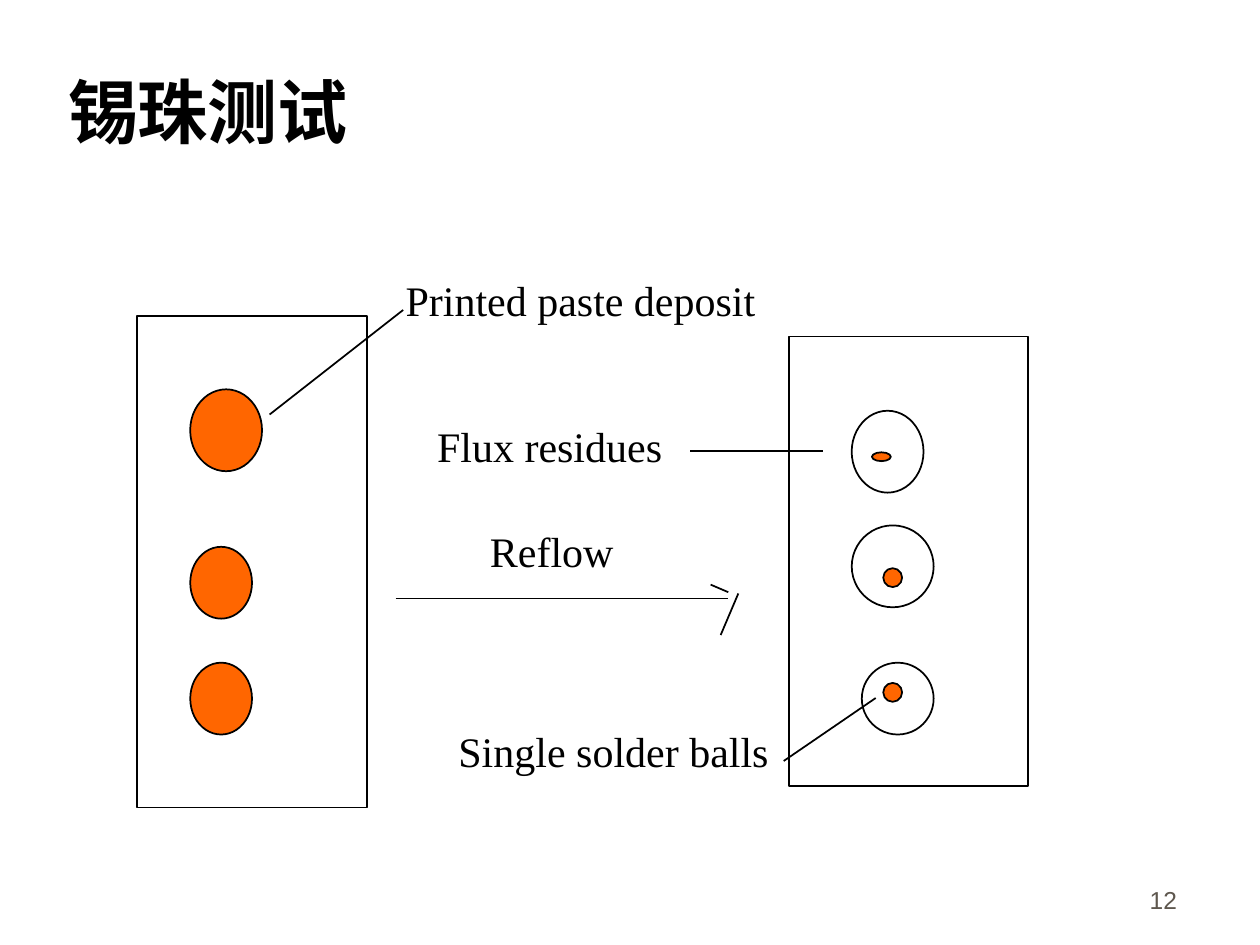
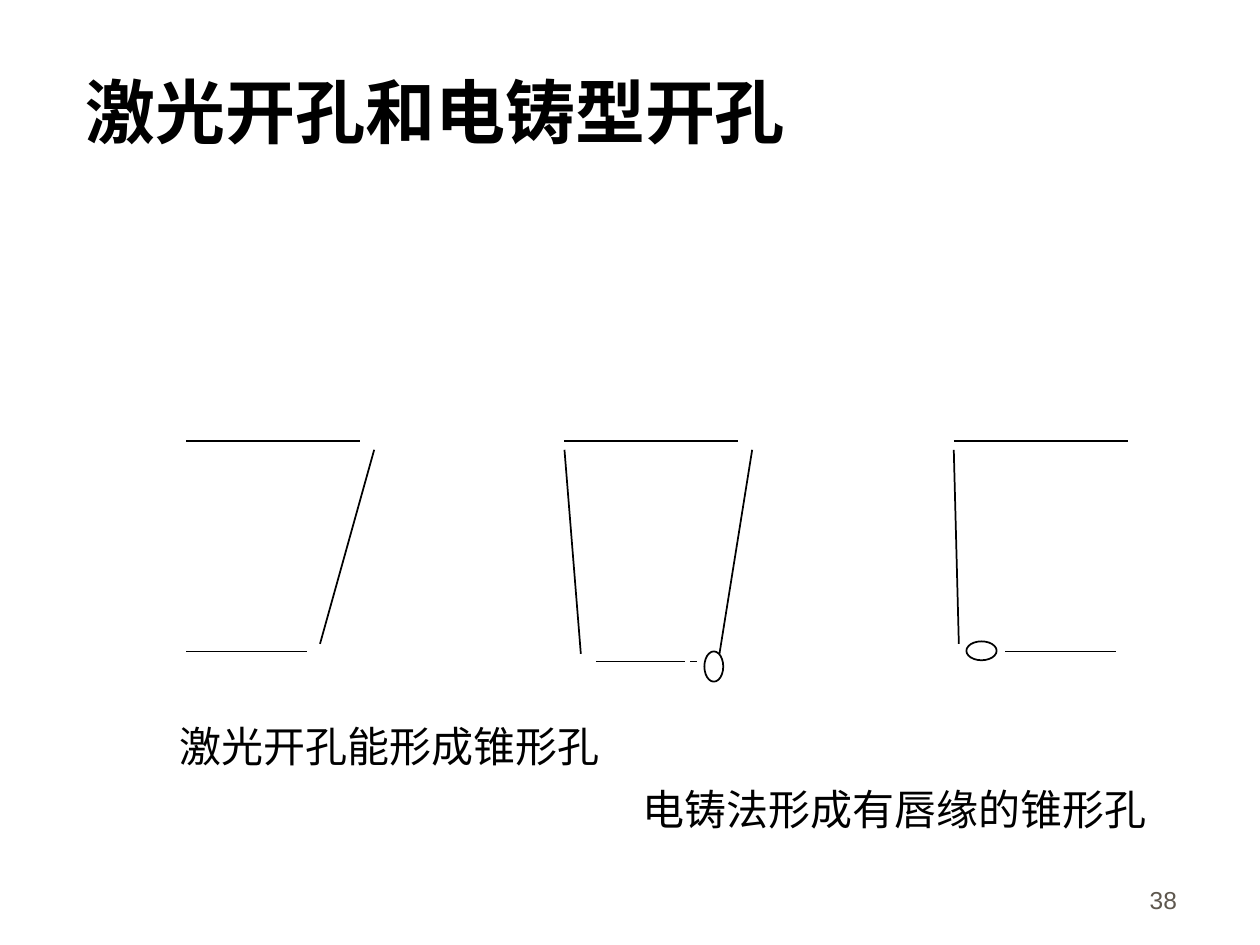
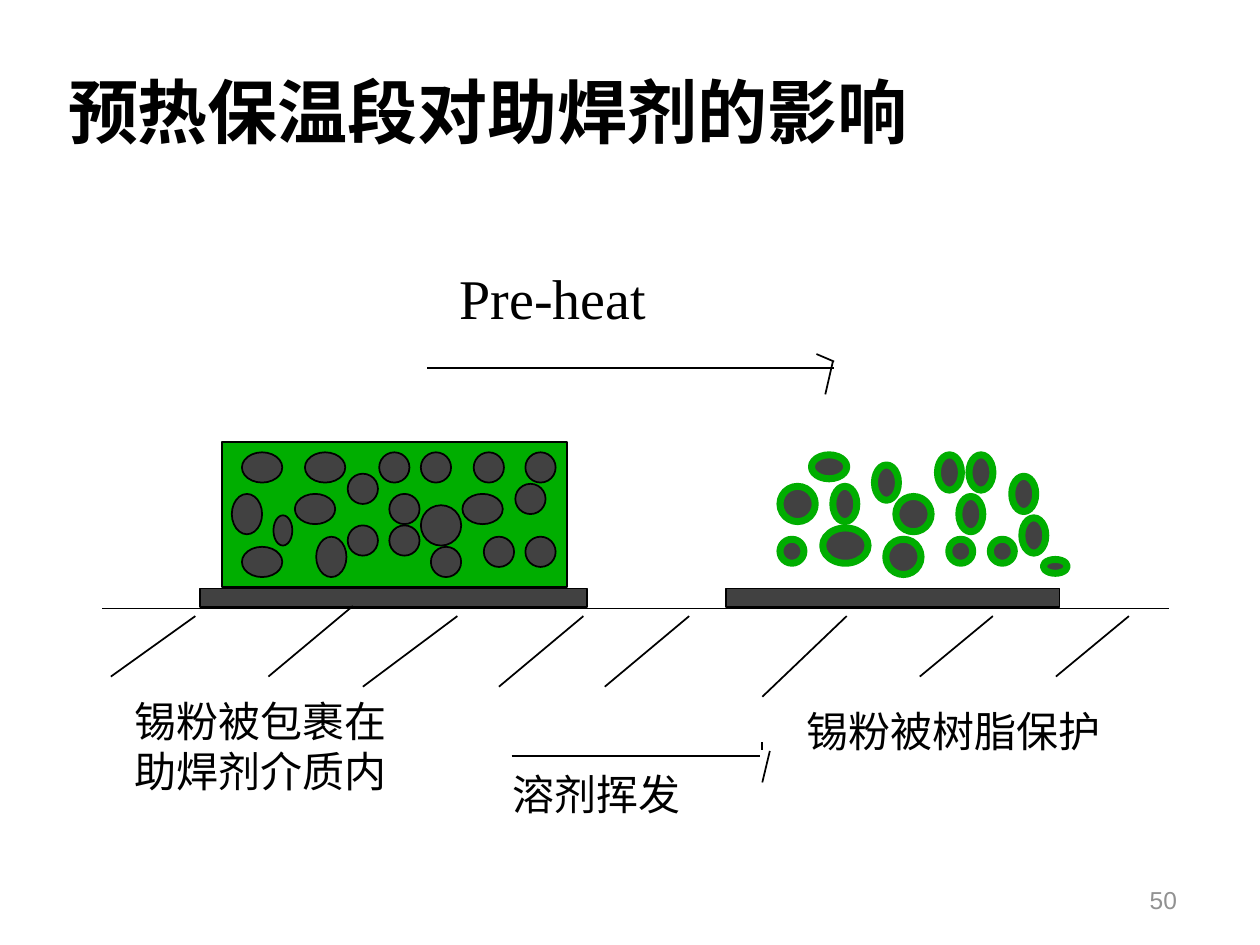
from dataclasses import dataclass

from lxml import etree
from pptx import Presentation
from pptx.dml.color import RGBColor
from pptx.enum.shapes import MSO_CONNECTOR, MSO_SHAPE
from pptx.enum.text import MSO_ANCHOR, MSO_AUTO_SIZE, PP_ALIGN
from pptx.oxml.ns import qn
from pptx.util import Inches, Pt

STRAIGHT = MSO_CONNECTOR.STRAIGHT
RECT, OVAL = MSO_SHAPE.RECTANGLE, MSO_SHAPE.OVAL
LEFT, RIGHT = PP_ALIGN.LEFT, PP_ALIGN.RIGHT
TOP, MIDDLE, BOTTOM = MSO_ANCHOR.TOP, MSO_ANCHOR.MIDDLE, MSO_ANCHOR.BOTTOM
NO_FIT = MSO_AUTO_SIZE.NONE
TITLE_ONLY = 5


@dataclass(frozen=True)
class Theme:
    ink: RGBColor = RGBColor(0, 0, 0)
    paste: RGBColor = RGBColor(0xFF, 0x66, 0x00)
    flux: RGBColor = RGBColor(0x00, 0xAE, 0x00)
    metal: RGBColor = RGBColor(0x41, 0x41, 0x41)
    page: RGBColor = RGBColor(0x5E, 0x57, 0x4E)
    page_light: RGBColor = RGBColor(0x91, 0x91, 0x91)
    font: str = "Times New Roman"
    page_font: str = "Arial"
    title_size: int = 40
    heading_size: int = 32
    label_size: int = 24
    page_size: int = 14
    line: int = 1
    coat: int = 4


T = Theme()


# Shared elements
def set_attrs(target, values):
    for name, value in values.items():
        setattr(target, name, value)


def box(left, top, width, height):
    return [Inches(v) for v in (left, top, width, height)]


def write(tf, lines, size, color=T.ink, font=T.font, bold=False,
          align=LEFT, anchor=TOP, wrap=True):
    set_attrs(tf, {"word_wrap": wrap, "auto_size": NO_FIT, "vertical_anchor": anchor})
    for i, line in enumerate(lines):
        p = tf.add_paragraph() if i else tf.paragraphs[0]
        p.alignment = align
        r = p.add_run()
        r.text = line
        set_attrs(r.font, {"name": font, "size": Pt(size), "bold": bold})
        r.font.color.rgb = color


def add_slide(prs, title, number, title_left=0.44, page_color=T.page):
    s = prs.slides.add_slide(prs.slide_layouts[TITLE_ONLY])
    frame = box(title_left, 0.25, 8.94 - title_left, 1.25)
    set_attrs(s.shapes.title, dict(zip(("left", "top", "width", "height"), frame)))
    write(s.shapes.title.text_frame, [title], T.title_size, bold=True, anchor=MIDDLE)
    page = s.shapes.add_textbox(*box(7.36, 6.81, 2.08, 0.5))
    write(page.text_frame, [str(number)], T.page_size, page_color, T.page_font,
          align=RIGHT, anchor=BOTTOM)
    return s


def add_label(s, left, top, width, *lines, size=T.label_size):
    tb = s.shapes.add_textbox(*box(left, top, width, 0.5 * len(lines)))
    write(tb.text_frame, lines, size, wrap=False)


def add_figure(s, kind, frame, fill=None, line=T.ink, weight=T.line):
    sp = s.shapes.add_shape(kind, *box(*frame))
    sp.shadow.inherit = False
    if fill is None:
        sp.fill.background()
    else:
        sp.fill.solid()
        sp.fill.fore_color.rgb = fill
    sp.line.color.rgb = line
    sp.line.width = Pt(weight)


def add_ovals(s, places_by_size, **style):
    for size, places in places_by_size.items():
        for place in places:
            add_figure(s, OVAL, place + size, **style)


def add_lines(s, *segments):
    for segment in segments:
        c = s.shapes.add_connector(STRAIGHT, *box(*segment))
        c.line.color.rgb = T.ink
        c.line.width = Pt(T.line)
        etree.SubElement(c._element.spPr, qn("a:effectLst"))


# Slide 12: solder ball test
def solder_ball_slide(prs):
    s = add_slide(prs, "锡珠测试", 12)
    for board in ((1.09, 2.51, 1.82, 3.9), (6.26, 2.67, 1.9, 3.57)):
        add_figure(s, RECT, board)

    deposits = {(0.57, 0.65): [(1.51, 3.09)],
                (0.49, 0.57): [(1.51, 4.34), (1.51, 5.26)]}
    residues = {(0.57, 0.65): [(6.76, 3.26)],
                (0.65, 0.65): [(6.76, 4.17)],
                (0.57, 0.57): [(6.84, 5.26)]}
    balls = {(0.15, 0.07): [(6.92, 3.59)],
             (0.15, 0.15): [(7.01, 4.51), (7.01, 5.42)]}
    add_ovals(s, deposits, fill=T.paste)
    add_ovals(s, residues)
    add_ovals(s, balls, fill=T.paste)

    # Reflow arrow, then the label leaders
    add_lines(s, (3.14, 4.75, 5.78, 4.75), (5.64, 4.64, 5.78, 4.7),
              (5.72, 5.04, 5.86, 4.71))
    add_lines(s, (2.14, 3.29, 3.2, 2.46), (5.48, 3.58, 6.53, 3.58),
              (6.22, 6.04, 6.95, 5.54))
    add_label(s, 3.79, 4.12, 1.18, "Reflow")
    add_label(s, 3.12, 2.13, 2.98, "Printed paste deposit")
    add_label(s, 3.37, 3.29, 1.99, "Flux residues")
    add_label(s, 3.54, 5.71, 2.66, "Single solder balls")


# Slide 38: stencil apertures
def aperture_slide(prs):
    s = add_slide(prs, "激光开孔和电铸型开孔", 38, title_left=0.58)
    top_edges = [(x, 3.5, x + 1.38, 3.5) for x in (1.48, 4.48, 7.57)]
    bottom_edges = [(1.48, 5.17, 2.44, 5.17), (4.73, 5.25, 5.44, 5.25),
                    (5.48, 5.25, 5.53, 5.25), (7.98, 5.17, 8.86, 5.17)]
    walls = [(2.97, 3.57, 2.54, 5.11), (4.48, 3.57, 4.61, 5.19),
             (5.97, 3.57, 5.71, 5.19), (7.57, 3.57, 7.61, 5.11)]
    add_lines(s, *top_edges, *bottom_edges, *walls)
    lips = {(0.15, 0.24): [(5.59, 5.17)], (0.24, 0.15): [(7.67, 5.09)]}
    add_ovals(s, lips)
    add_label(s, 1.33, 5.67, 3.53, "激光开孔能形成锥形孔")
    add_label(s, 5, 6.17, 4.2, "电铸法形成有唇缘的锥形孔")


# Slide 50: effect of the soak zone on flux
def preheat_slide(prs):
    s = add_slide(prs, "预热保温段对助焊剂的影响", 50, page_color=T.page_light)

    # Board surface, pads and flux block
    add_lines(s, (0.81, 4.83, 9.28, 4.83))
    for left, width in ((1.59, 3.07), (5.76, 2.65)):
        add_figure(s, RECT, (left, 4.67, width, 0.15), T.metal)
    add_figure(s, RECT, (1.76, 3.51, 2.74, 1.15), T.flux)

    # Powder inside the flux, then powder coated with resin
    powder = {
        (0.32, 0.24): [(1.92, 3.59), (2.42, 3.59), (2.34, 3.92), (3.67, 3.92),
                       (1.92, 4.34)],
        (0.24, 0.32): [(1.84, 3.92), (2.51, 4.26)],
        (0.15, 0.24): [(2.17, 4.09)],
        (0.32, 0.32): [(3.34, 4.01)],
        (0.24, 0.24): [(3.01, 3.59), (3.34, 3.59), (3.76, 3.59), (4.17, 3.59),
                       (2.76, 3.76), (4.09, 3.84), (3.09, 3.92), (2.76, 4.17),
                       (3.09, 4.17), (3.84, 4.26), (4.17, 4.26), (3.42, 4.34)],
    }
    coated = {
        (0.28, 0.28): [(6.19, 3.86), (7.11, 3.94), (7.03, 4.28)],
        (0.19, 0.28): [(6.61, 3.86), (6.94, 3.69), (7.61, 3.94), (7.44, 3.61),
                       (8.03, 3.78), (8.11, 4.11), (7.69, 3.61)],
        (0.19, 0.19): [(6.19, 4.28), (7.53, 4.28), (7.86, 4.28)],
        (0.36, 0.28): [(6.53, 4.19)],
        (0.28, 0.19): [(6.44, 3.61)],
        (0.19, 0.11): [(8.28, 4.44)],
    }
    add_ovals(s, powder, fill=T.metal)
    add_ovals(s, coated, fill=T.metal, line=T.flux, weight=T.coat)

    # Hatching under the board
    add_lines(s, (1.55, 4.89, 0.88, 5.37), (2.8, 4.81, 2.13, 5.37),
              (3.63, 4.89, 2.88, 5.45), (4.63, 4.89, 3.96, 5.45),
              (5.47, 4.89, 4.8, 5.45), (6.72, 4.89, 6.05, 5.53),
              (7.88, 4.89, 7.3, 5.37), (8.96, 4.89, 8.38, 5.37))

    # Pre-heat arrow and solvent arrow
    add_lines(s, (3.39, 2.92, 6.62, 2.92), (6.48, 2.81, 6.62, 2.87),
              (6.55, 3.13, 6.61, 2.87))
    add_lines(s, (4.06, 6, 6.03, 6), (6.05, 5.89, 6.05, 5.95),
              (6.05, 6.21, 6.11, 5.96))
    add_label(s, 3.55, 2.04, 1.68, "Pre-heat", size=T.heading_size)
    add_label(s, 0.97, 5.47, 2.2, "锡粉被包裹在", "助焊剂介质内")
    add_label(s, 3.97, 6.05, 1.53, "溶剂挥发")
    add_label(s, 6.3, 5.55, 2.53, "锡粉被树脂保护")


def main():
    prs = Presentation()
    prs.slide_width, prs.slide_height = Inches(10), Inches(7.5)
    solder_ball_slide(prs)
    aperture_slide(prs)
    preheat_slide(prs)
    prs.save("out.pptx")


if __name__ == "__main__":
    main()
